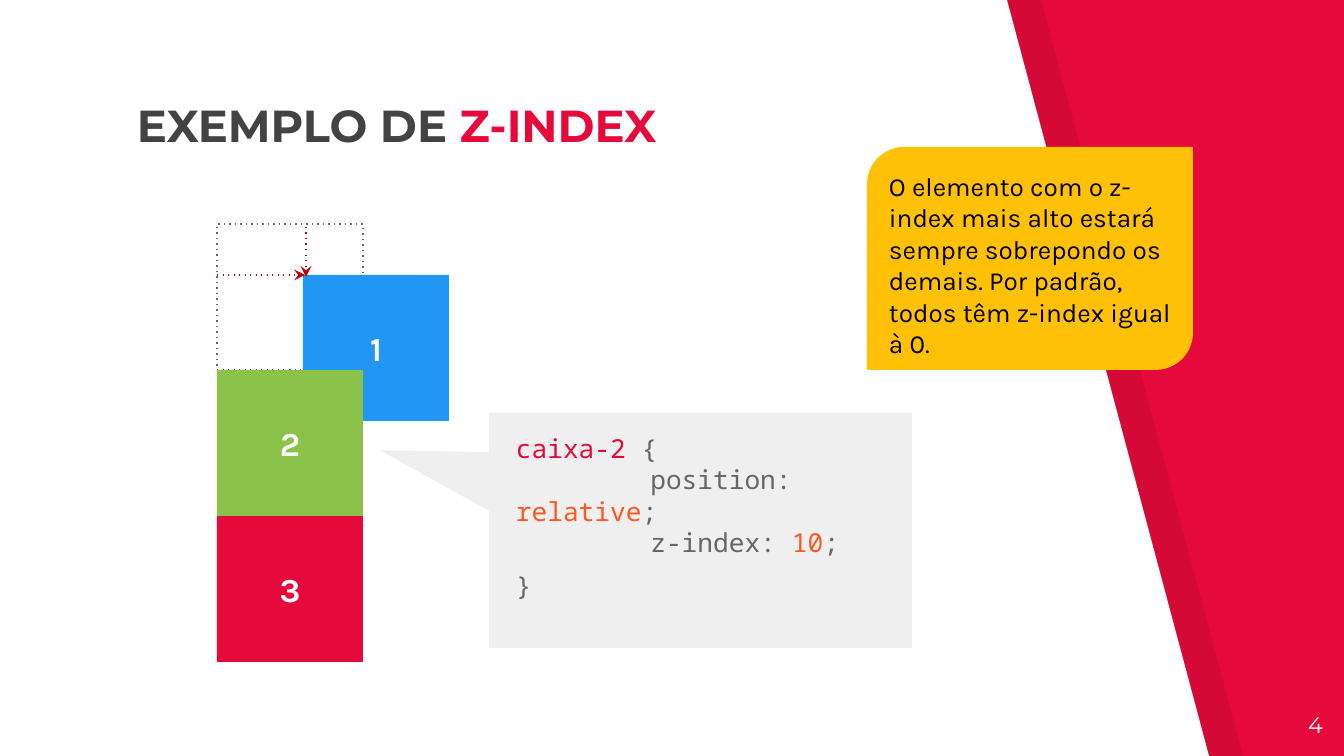
import pptx
import pptx.dml.color
import pptx.enum.shapes
import pptx.enum.text
import pptx.oxml.ns
import pptx.util
from lxml import etree

SCALE = 914400 / 134.4
Kind = pptx.enum.shapes.MSO_SHAPE
Align = pptx.enum.text.PP_ALIGN
Anchor = pptx.enum.text.MSO_ANCHOR
rgb = pptx.dml.color.RGBColor.from_string
qn = pptx.oxml.ns.qn


class Theme:
    red = rgb("E50A3B")
    shade = rgb("000000")
    white = rgb("FFFFFF")
    dark = rgb("434343")
    gray = rgb("666666")
    pale = rgb("EFEFEF")
    blue = rgb("2196F3")
    green = rgb("8BC34A")
    amber = rgb("FFC107")
    orange = rgb("FF5722")
    arrow = rgb("C10003")
    black = rgb("000000")
    head = "Montserrat"
    body = "Karla"
    code = "Noto Sans Mono"
    title = 24
    label = 18
    text = 14
    small = 12
    lead = 16.9


def px(*nums):
    return [pptx.util.Emu(round(num * SCALE)) for num in nums]


def write(frame, lines, font, size, bold=False, align=Align.LEFT,
          anchor=Anchor.TOP, pad=(13, 13), lead=None):
    frame.word_wrap = True
    frame.auto_size = pptx.enum.text.MSO_AUTO_SIZE.NONE
    frame.vertical_anchor = anchor
    frame.margin_left = frame.margin_right = px(pad[0])[0]
    frame.margin_top = frame.margin_bottom = px(pad[1])[0]
    for num, parts in enumerate(lines):
        para = frame.add_paragraph() if num else frame.paragraphs[0]
        para.alignment = align
        if lead:
            para.line_spacing = pptx.util.Pt(lead)
        if any("\t" in text for text, tint in parts):
            tabs = etree.SubElement(para._p.get_or_add_pPr(), qn("a:tabLst"))
            etree.SubElement(tabs, qn("a:tab"), pos="914400", algn="l")
        para.font.name = font
        para.font.size = pptx.util.Pt(size)
        para.font.bold = bold
        for text, tint in parts:
            if text == "\n":
                para.add_line_break()
                continue
            run = para.add_run()
            run.text = text
            run.font.color.rgb = tint


deck = pptx.Presentation()
deck.slide_width, deck.slide_height = px(1344, 756)
slide = deck.slides.add_slide(deck.slide_layouts[5])
shapes = slide.shapes
slide.background.fill.solid()
slide.background.fill.fore_color.rgb = Theme.red

for left, tint, alpha in [(34, Theme.shade, 7), (0, Theme.white, 100)]:
    path = shapes.build_freeform(left, 0, scale=SCALE)
    path.add_line_segments([(left, 756), (left + 1209, 756), (left + 1007, 0)])
    band = path.convert_to_shape()
    band.shadow.inherit = False
    band.fill.solid()
    band.fill.fore_color.rgb = tint
    band.line.fill.background()
    if alpha < 100:
        color = band._element.spPr.find(".//" + qn("a:srgbClr"))
        etree.SubElement(color, qn("a:alpha"), val=str(alpha * 1000))

page = shapes.add_textbox(*px(1255, 698, 81, 58))
write(page.text_frame, [[("4", Theme.white)]], Theme.head, Theme.small,
      align=Align.RIGHT)

title = shapes.title
title.left, title.top, title.width, title.height = px(124, 103, 762, 61)
shapes._spTree.append(title._element)
write(title.text_frame, [[("EXEMPLO DE ", Theme.dark), ("Z-INDEX", Theme.red)]],
      Theme.head, Theme.title, bold=True, anchor=Anchor.BOTTOM)

SIDE, LEFT, TOP = 146, 217, 224
blocks = {}
for name, kind, box, tint, adjust in [
    ("code", Kind.ROUNDED_RECTANGULAR_CALLOUT, (489, 413, 423, 235),
     Theme.pale, (-0.758, -0.341, 0)),
    ("frame", Kind.RECTANGLE, (LEFT, TOP, SIDE, SIDE), None, ()),
    ("3", Kind.RECTANGLE, (LEFT, TOP + 2 * SIDE, SIDE, SIDE), Theme.red, ()),
    ("1", Kind.RECTANGLE, (303, 275, SIDE, SIDE), Theme.blue, ()),
    ("2", Kind.RECTANGLE, (LEFT, TOP + SIDE, SIDE, SIDE), Theme.green, ()),
    ("note", Kind.ROUND_2_DIAG_RECTANGLE, (867, 147, 326, 223),
     Theme.amber, (0.167, 0)),
]:
    block = blocks[name] = shapes.add_shape(kind, *px(*box))
    block.shadow.inherit = False
    for num, value in enumerate(adjust):
        block.adjustments[num] = value
    if tint is None:
        block.fill.background()
    else:
        block.fill.solid()
        block.fill.fore_color.rgb = tint
        block.line.fill.background()
    if name.isdigit():
        write(block.text_frame, [[(name, Theme.white)]], Theme.body, Theme.label,
              bold=True, align=Align.CENTER, anchor=Anchor.MIDDLE)

write(blocks["code"].text_frame, [
    [("caixa-2 ", Theme.red), ("{", Theme.gray)],
    [("\tposition: ", Theme.gray), ("relative", Theme.orange), (";", Theme.gray),
     ("\n", None), ("\tz-index: ", Theme.gray), ("10", Theme.orange),
     (";", Theme.gray)],
    [("}", Theme.gray)],
], Theme.code, Theme.text, pad=(27, 19), lead=Theme.lead)
blocks["code"].text_frame.paragraphs[-1].space_before = pptx.util.Pt(6)

dotted = [(blocks["frame"], Theme.gray)]
for ends in [(217, 275, 305, 275), (306, 227, 306, 277)]:
    arrow = shapes.add_connector(pptx.enum.shapes.MSO_CONNECTOR.STRAIGHT, *px(*ends))
    dotted.append((arrow, Theme.arrow))
for item, tint in dotted:
    item.line.color.rgb = tint
    item.line.width = pptx.util.Pt(0.75)
    edge = item.line._get_or_add_ln()
    etree.SubElement(edge, qn("a:prstDash"), val="dot")
    if tint == Theme.arrow:
        etree.SubElement(edge, qn("a:tailEnd"), type="stealth")
        etree.SubElement(item._element.spPr, qn("a:effectLst"))

note = shapes.add_textbox(*px(876, 157, 327, 212))
write(note.text_frame, [[(
    "O elemento com o z-index mais alto estará sempre sobrepondo os demais. "
    "Por padrão, todos têm z-index igual à 0.", Theme.black)]],
    Theme.body, Theme.text, lead=Theme.lead)

deck.save("out.pptx")
